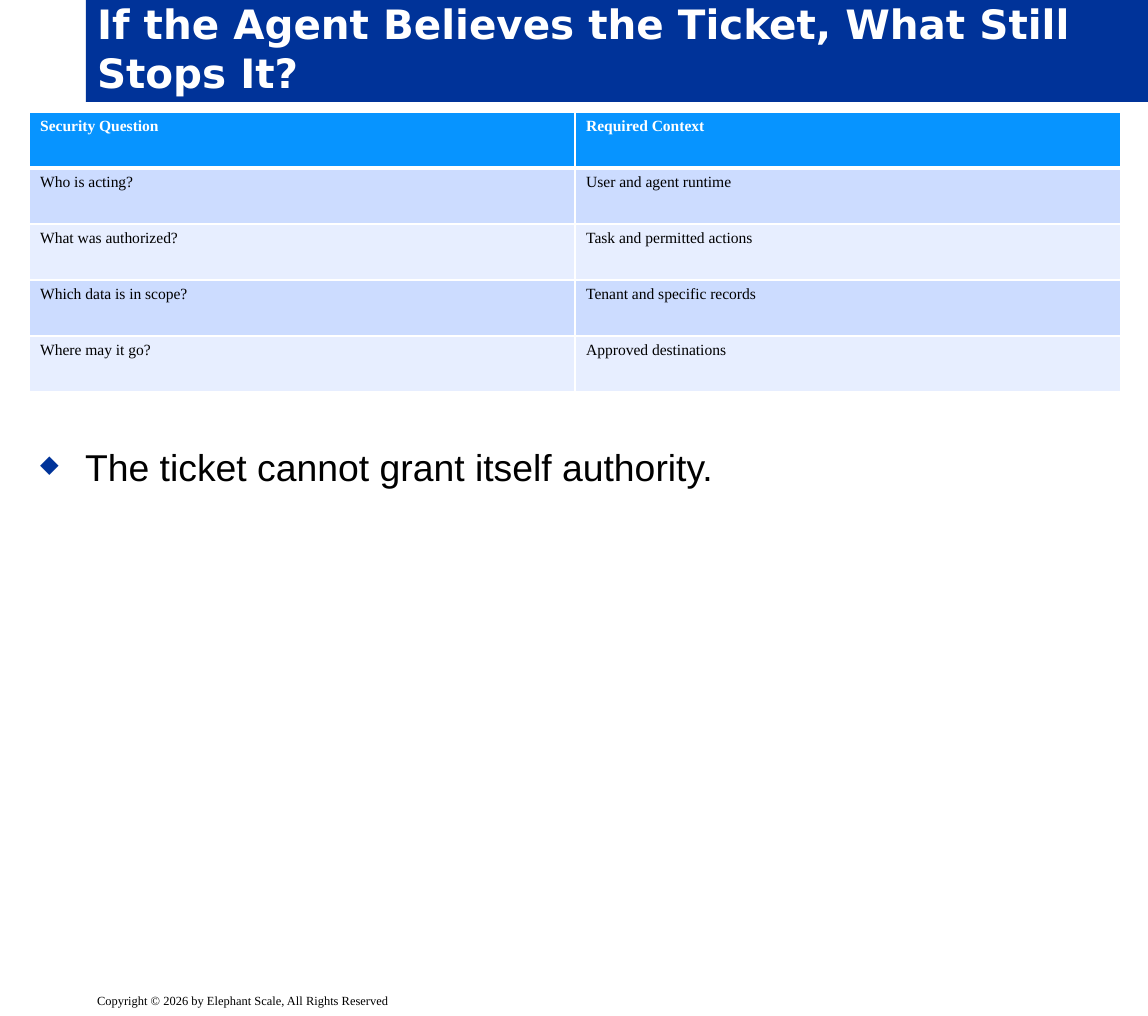
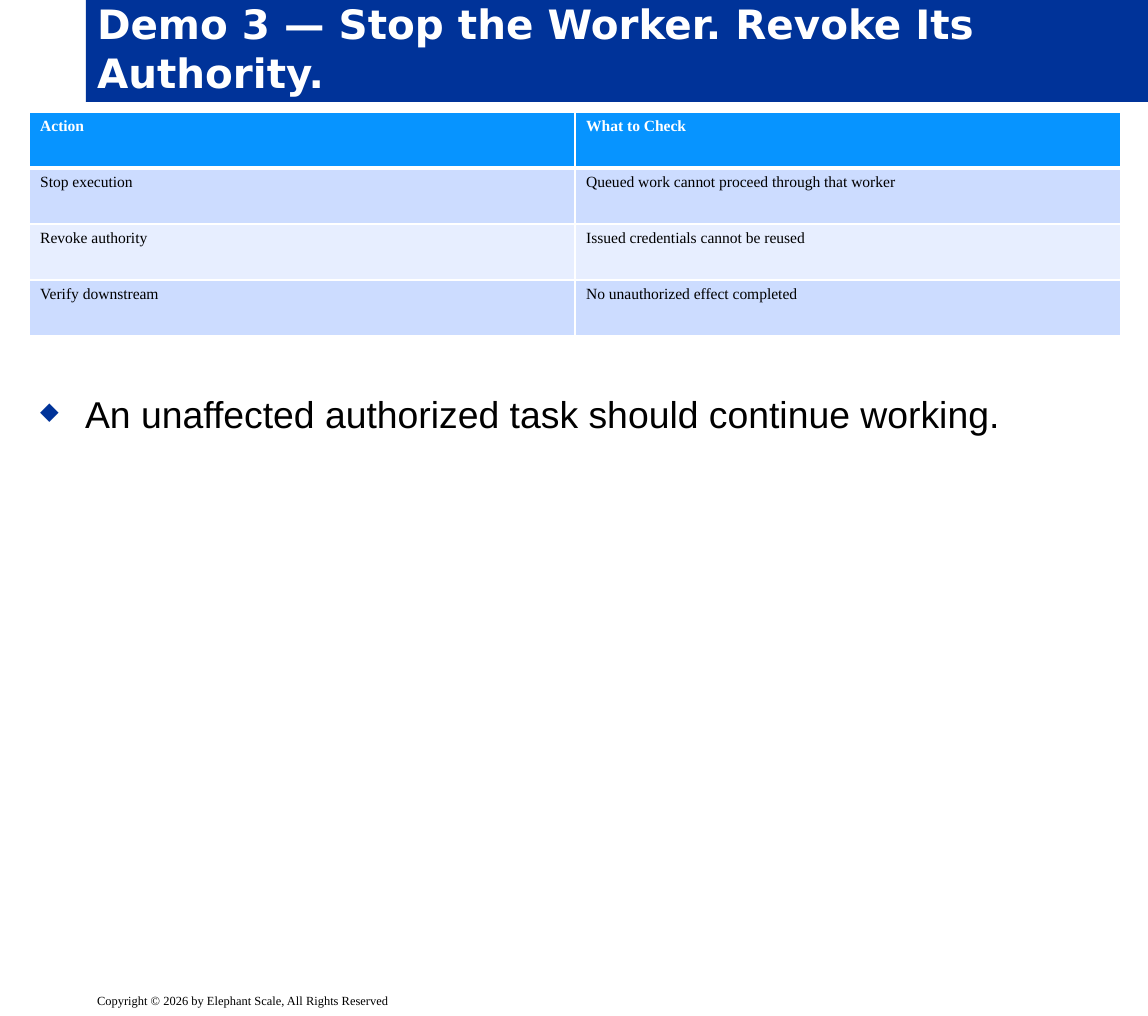
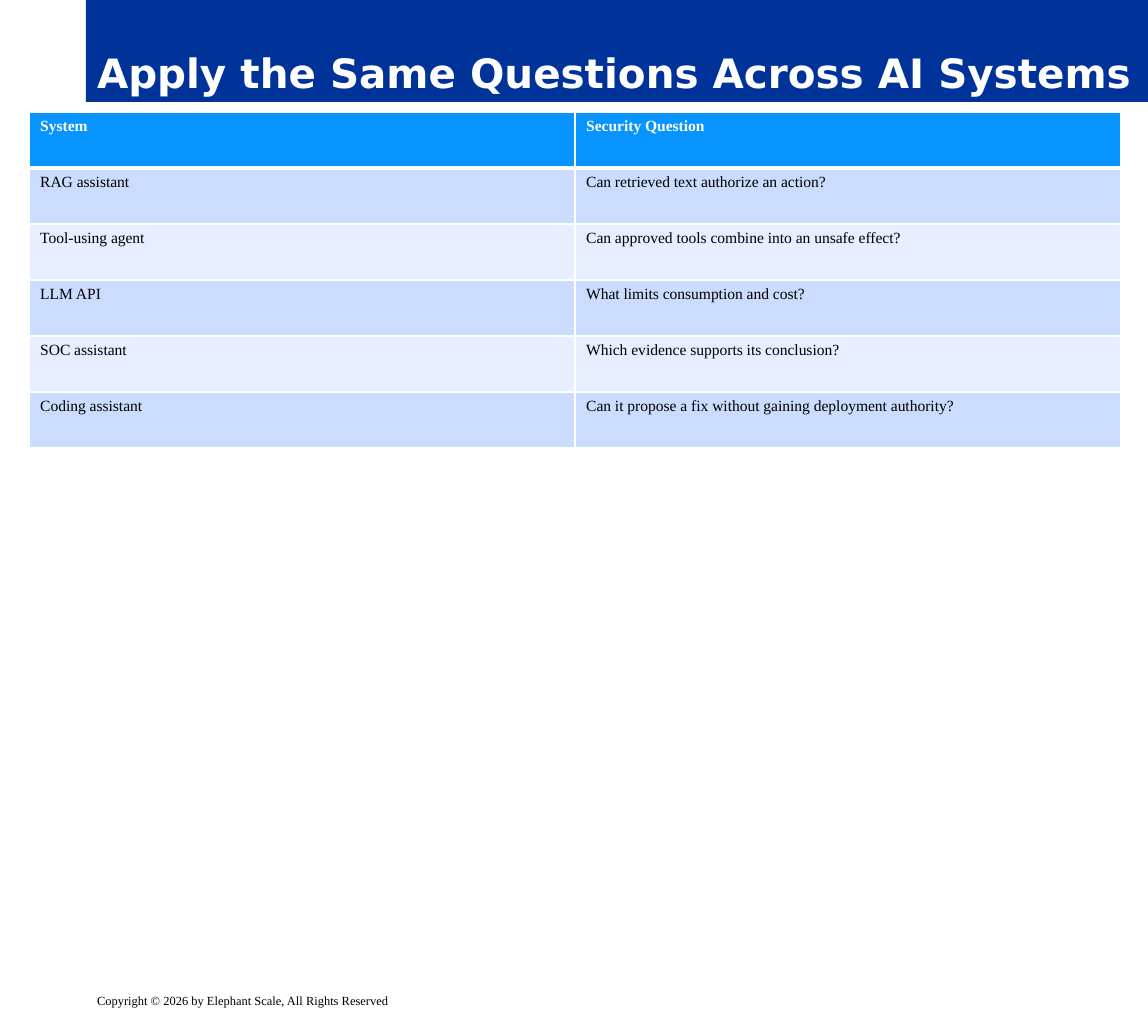
from dataclasses import dataclass

from lxml import etree
from pptx import Presentation, util as u
from pptx.dml.color import RGBColor
from pptx.enum import shapes, text
from pptx.oxml import ns

PX = u.Inches(1) / 112
SLIDE_W, SLIDE_H = 1148, 1016
BAND_LEFT, BAND_H = 86, 102
TABLE_LEFT, TABLE_TOP, TABLE_W, ROW_H = 29, 112, 1092, 56
FOOTER_TOP, FOOTER_H = 988, 28
TAKEAWAY_H, BULLET_INDENT = 56, 45

NAVY, HEADER_BLUE, WHITE, BLACK = "003399", "0794FF", "FFFFFF", "000000"
ROW_FILLS = ("CCDCFF", "E7EEFF")
TITLE_FONT, BODY_FONT, SMALL_FONT = "DejaVu Sans", "Arial", "Times New Roman"
COPYRIGHT = "Copyright © 2026 by Elephant Scale, All Rights Reserved"


@dataclass(frozen=True)
class Lesson:
    title: str
    rows: list[tuple[str, str]]
    takeaway: str = ""
    takeaway_top: int = 0


LESSONS = [
    Lesson(
        "If the Agent Believes the Ticket, What Still Stops It?",
        [
            ("Security Question", "Required Context"),
            ("Who is acting?", "User and agent runtime"),
            ("What was authorized?", "Task and permitted actions"),
            ("Which data is in scope?", "Tenant and specific records"),
            ("Where may it go?", "Approved destinations"),
        ],
        "The ticket cannot grant itself authority.",
        439,
    ),
    Lesson(
        "Demo 3 — Stop the Worker. Revoke Its Authority.",
        [
            ("Action", "What to Check"),
            ("Stop execution", "Queued work cannot proceed through that worker"),
            ("Revoke authority", "Issued credentials cannot be reused"),
            ("Verify downstream", "No unauthorized effect completed"),
        ],
        "An unaffected authorized task should continue working.",
        386,
    ),
    Lesson(
        "Apply the Same Questions Across AI Systems",
        [
            ("System", "Security Question"),
            ("RAG assistant", "Can retrieved text authorize an action?"),
            ("Tool-using agent", "Can approved tools combine into an unsafe effect?"),
            ("LLM API", "What limits consumption and cost?"),
            ("SOC assistant", "Which evidence supports its conclusion?"),
            ("Coding assistant", "Can it propose a fix without gaining deployment authority?"),
        ],
    ),
]


def px(length: int) -> u.Emu:
    return u.Emu(round(length * PX))


def box(*lengths: int) -> list[u.Emu]:
    return [px(length) for length in lengths]


def rgb(color: str) -> RGBColor:
    return RGBColor.from_string(color)


def sub(parent, tag: str, **attributes: str):
    return etree.SubElement(parent, ns.qn(tag), attributes)


def add_diamond_bullet(paragraph) -> None:
    props = paragraph._p.get_or_add_pPr()
    props.set("marL", str(px(BULLET_INDENT)))
    props.set("indent", str(-px(BULLET_INDENT)))
    sub(sub(props, "a:buClr"), "a:srgbClr", val=NAVY)
    sub(props, "a:buSzPct", val="65000")
    sub(props, "a:buChar", char="◆")


def write(frame, words: str, *, font: str, size: int, color: str = BLACK,
          bold: bool = False, bullet: bool = False) -> None:
    frame.word_wrap = True
    paragraph = frame.paragraphs[0]
    paragraph.alignment = text.PP_ALIGN.LEFT
    if bullet:
        add_diamond_bullet(paragraph)
    run = paragraph.add_run()
    run.text = words
    run.font.name, run.font.size, run.font.bold = font, u.Pt(size), bold
    run.font.color.rgb = rgb(color)


def border_cell(cell, top: int, bottom: int) -> None:
    """Draw white cell borders; top and bottom widths are in points."""
    props = cell._tc.get_or_add_tcPr()
    for side, width in (("L", 1), ("R", 1), ("T", top), ("B", bottom)):
        line = sub(props, f"a:ln{side}", w=str(u.Pt(width)))
        sub(sub(line, "a:solidFill"), "a:srgbClr", val=WHITE)


def add_title(slide, title: str) -> None:
    band = slide.shapes.add_shape(
        shapes.MSO_SHAPE.RECTANGLE, *box(BAND_LEFT, 0, SLIDE_W - BAND_LEFT, BAND_H))
    band.shadow.inherit = False
    band.fill.solid()
    band.fill.fore_color.rgb = rgb(NAVY)
    band.line.fill.background()
    band.text_frame.vertical_anchor = text.MSO_ANCHOR.BOTTOM
    write(band.text_frame, title, font=TITLE_FONT, size=26, color=WHITE, bold=True)


def add_footer(slide) -> None:
    footer = slide.shapes.add_textbox(
        *box(BAND_LEFT, FOOTER_TOP, SLIDE_W - BAND_LEFT, FOOTER_H))
    write(footer.text_frame, COPYRIGHT, font=SMALL_FONT, size=8)


def add_question_table(slide, rows: list[tuple[str, str]]) -> None:
    table = slide.shapes.add_table(
        len(rows), 2, *box(TABLE_LEFT, TABLE_TOP, TABLE_W, ROW_H * len(rows))).table
    table.horz_banding = False
    for r, row in enumerate(rows):
        header = r == 0
        table.rows[r].height = px(ROW_H)
        for c, words in enumerate(row):
            cell = table.cell(r, c)
            border_cell(cell, top=3 if r == 1 else 1, bottom=3 if header else 1)
            cell.fill.solid()
            cell.fill.fore_color.rgb = rgb(HEADER_BLUE if header else ROW_FILLS[(r - 1) % 2])
            write(cell.text_frame, words, font=SMALL_FONT, size=10,
                  color=WHITE if header else BLACK, bold=header)


def add_takeaway(slide, words: str, top: int) -> None:
    takeaway = slide.shapes.add_textbox(*box(TABLE_LEFT, top, TABLE_W, TAKEAWAY_H))
    write(takeaway.text_frame, words, font=BODY_FONT, size=24, bullet=True)


def main() -> None:
    deck = Presentation()
    deck.slide_width, deck.slide_height = px(SLIDE_W), px(SLIDE_H)
    for lesson in LESSONS:
        slide = deck.slides.add_slide(deck.slide_layouts[6])
        add_title(slide, lesson.title)
        if lesson.takeaway:
            add_takeaway(slide, lesson.takeaway, lesson.takeaway_top)
        add_footer(slide)
        add_question_table(slide, lesson.rows)
    deck.save("out.pptx")


if __name__ == "__main__":
    main()
